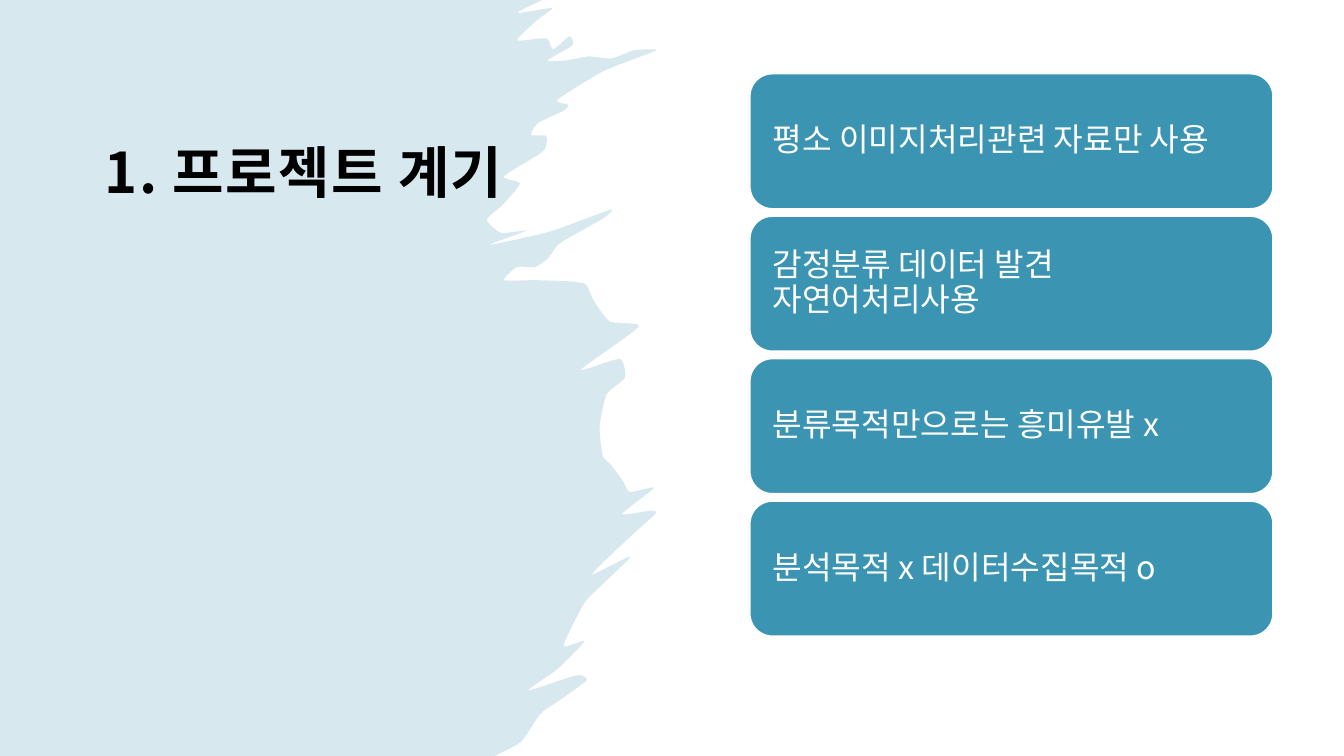
"""Build the project motivation slide: a brush-edged title panel and four statement cards."""
from dataclasses import dataclass

from lxml.etree import SubElement
from pptx import Presentation
from pptx.dml.color import RGBColor
from pptx.enum.shapes import MSO_SHAPE as Preset
from pptx.enum.text import MSO_ANCHOR as Anchor, MSO_AUTO_SIZE as AutoSize, PP_ALIGN as Align
from pptx.oxml.ns import qn
from pptx.shapes.autoshape import Shape
from pptx.slide import Slide
from pptx.text.text import TextFrame
from pptx.util import Cm, Length, Pt

TEAL = RGBColor(0x3B, 0x94, 0xB1)
WHITE = RGBColor(0xFF, 0xFF, 0xFF)
BLACK = RGBColor(0x00, 0x00, 0x00)
FONT = "Noto Sans CJK KR"

SLIDE_WIDTH, SLIDE_HEIGHT = Cm(33.87), Cm(19.05)
HUNDREDTH_INCH = Cm(0.0254)
CURVE_STEPS = 5
TENSION = 0.3
BRUSH_EDGE = [
    (491, 750), (517, 736), (534, 711), (541, 704), (555, 695), (582, 675), (572, 670),
    (524, 685), (553, 664), (580, 636), (559, 641), (576, 605), (585, 592), (626, 552),
    (587, 570), (627, 531), (651, 509), (643, 507), (617, 510), (649, 484), (625, 488),
    (618, 477), (606, 461), (598, 452), (595, 423), (602, 391), (620, 375), (615, 356),
    (576, 367), (634, 324), (605, 319), (589, 298), (581, 282), (562, 279), (529, 278),
    (500, 278), (513, 265), (531, 265), (544, 256), (556, 241), (598, 217), (606, 208),
    (545, 230), (485, 243), (522, 229), (497, 231), (483, 218), (499, 203), (516, 182),
    (500, 175), (539, 150), (542, 135), (527, 134), (534, 122), (559, 110), (564, 104),
    (553, 99), (600, 70), (651, 50), (629, 50), (607, 58), (584, 56), (562, 60),
    (543, 60), (568, 45), (565, 36), (549, 49), (542, 38), (513, 40), (533, 20),
    (548, 8), (513, 13), (538, 0),
]

CARD_LEFT, CARD_TOP = Cm(18.9), Cm(1.86)
CARD_WIDTH, CARD_HEIGHT = Cm(13.18), Cm(3.4)
CARD_PITCH = Cm(3.59)


@dataclass(frozen=True)
class TextStyle:
    """Look of a single-paragraph text."""
    size: Length
    color: RGBColor
    bold: bool
    line_spacing: float
    space_after: Length
    tracking: int


@dataclass(frozen=True)
class Card:
    """One statement and its place in the stack."""
    row: int
    statement: str


TITLE_STYLE = TextStyle(Pt(40), BLACK, True, 1.05, Pt(0), 100)
CARD_STYLE = TextStyle(Pt(23), WHITE, False, 0.9, Pt(8), 0)
STATEMENTS = [
    "평소 이미지처리관련 자료만 사용",
    "감정분류 데이터 발견 자연어처리사용",
    "분류목적만으로는 흥미유발 x",
    "분석목적 x 데이터수집목적 o",
]
CARDS = [Card(row, statement) for row, statement in enumerate(STATEMENTS)]


def write_text(frame: TextFrame, text: str, style: TextStyle, inset: Length) -> None:
    """Fill a text frame with one left-aligned, vertically centred paragraph."""
    frame.word_wrap = True
    frame.auto_size = AutoSize.NONE
    frame.vertical_anchor = Anchor.MIDDLE
    frame.margin_left = frame.margin_right = inset
    frame.margin_top = frame.margin_bottom = Cm(0.28)
    paragraph = frame.paragraphs[0]
    paragraph.alignment = Align.LEFT
    paragraph.line_spacing = style.line_spacing
    paragraph.space_after = style.space_after
    run = paragraph.add_run()
    run.text = text
    run.font.size = style.size
    run.font.bold = style.bold
    run.font.name = FONT
    run.font.color.rgb = style.color
    properties = run.font._element
    properties.set("spc", str(style.tracking))
    SubElement(properties, qn("a:ea")).set("typeface", FONT)


def blend(before: float, start: float, end: float, after: float, t: float) -> float:
    """Interpolate one coordinate between two points of a cardinal spline."""
    leave, arrive = TENSION * (end - before), TENSION * (after - start)
    bend = 2 * (start - end) + leave + arrive
    return start + t * (leave + t * (end - start - leave - bend + t * bend))


def trace_brush_edge() -> list[tuple[float, float]]:
    """Return smooth points along the brush edge, from bottom to top."""
    anchors = [BRUSH_EDGE[0], *BRUSH_EDGE, BRUSH_EDGE[-1]]
    points = [
        tuple(HUNDREDTH_INCH * blend(*axis, step / CURVE_STEPS) for axis in zip(*neighbours))
        for neighbours in zip(anchors, anchors[1:], anchors[2:], anchors[3:])
        for step in range(CURVE_STEPS)
    ]
    return points + [tuple(HUNDREDTH_INCH * value for value in BRUSH_EDGE[-1])]


def style_shape(shape: Shape) -> None:
    """Give a shape the flat teal fill."""
    shape.shadow.inherit = False
    shape.fill.solid()
    shape.fill.fore_color.rgb = TEAL


def draw_brush_panel(slide: Slide) -> None:
    """Draw the pale brush panel behind the title."""
    builder = slide.shapes.build_freeform(0, 0)
    builder.add_line_segments([(0, SLIDE_HEIGHT), *trace_brush_edge()], close=True)
    panel = builder.convert_to_shape()
    style_shape(panel)
    panel.line.fill.background()
    tint = panel._element.spPr.find(qn("a:solidFill"))[0]
    SubElement(tint, qn("a:alpha")).set("val", "20000")
    slide.shapes._spTree.insert(2, panel._element)


def draw_card(slide: Slide, card: Card) -> None:
    """Draw a rounded card with its statement."""
    top = CARD_TOP + card.row * CARD_PITCH
    box = slide.shapes.add_shape(Preset.ROUNDED_RECTANGLE, CARD_LEFT, top, CARD_WIDTH, CARD_HEIGHT)
    style_shape(box)
    box.line.color.rgb = WHITE
    box.line.width = Pt(1)
    write_text(box.text_frame, card.statement, CARD_STYLE, Cm(0.41))


def main() -> None:
    """Build and save the slide."""
    deck = Presentation()
    deck.slide_width, deck.slide_height = SLIDE_WIDTH, SLIDE_HEIGHT
    slide = deck.slides.add_slide(deck.slide_layouts[5])
    title = slide.shapes.title
    title.left, title.top, title.width, title.height = Cm(2.34), Cm(1.78), Cm(10.8), Cm(5)
    write_text(title.text_frame, "1. 프로젝트 계기", TITLE_STYLE, Cm(0.3))
    draw_brush_panel(slide)
    for card in CARDS:
        draw_card(slide, card)
    deck.save("out.pptx")


if __name__ == "__main__":
    main()
